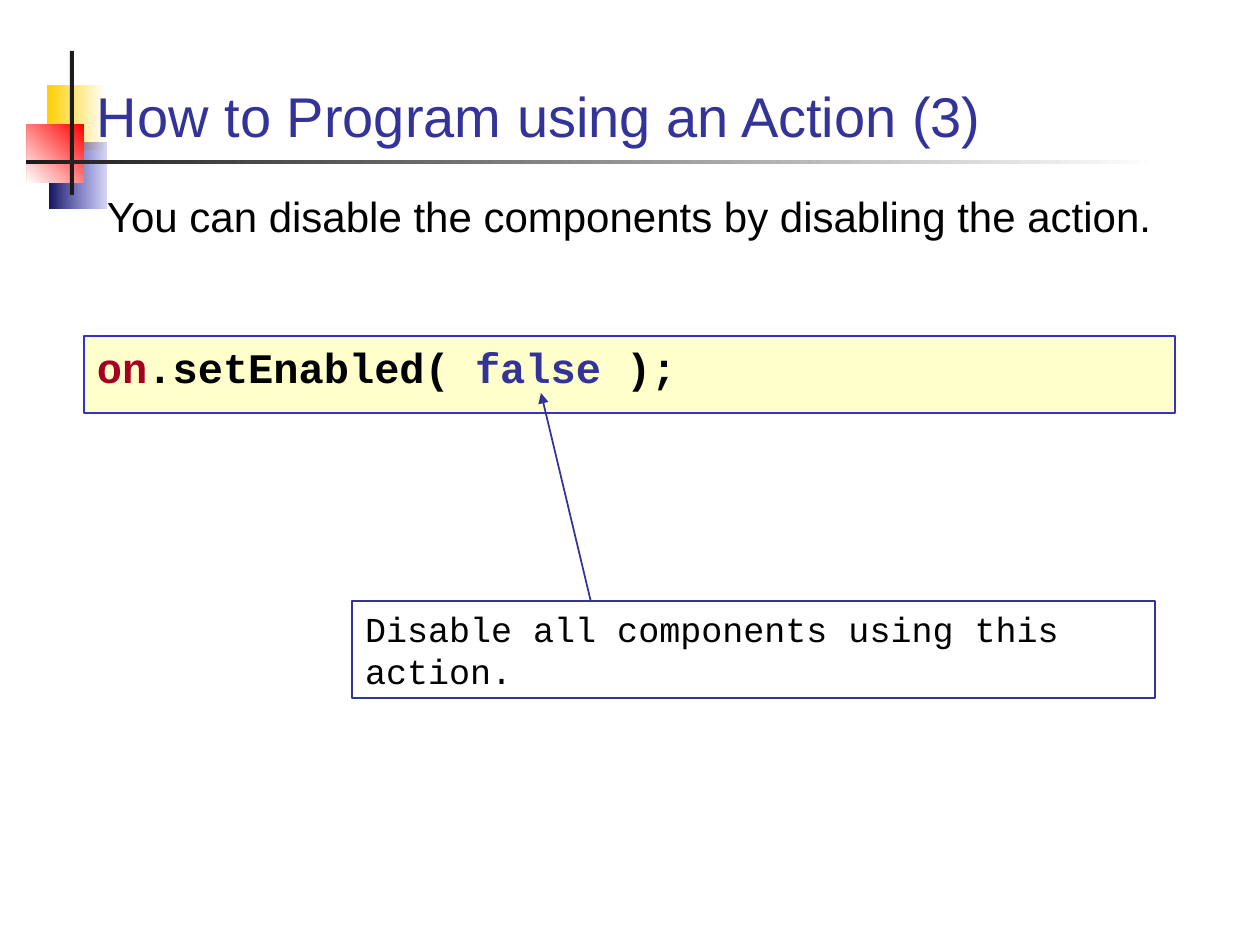
from lxml import etree
from pptx import Presentation
from pptx.dml.color import RGBColor
from pptx.enum.shapes import MSO_CONNECTOR, MSO_SHAPE
from pptx.enum.text import MSO_ANCHOR, PP_ALIGN
from pptx.oxml.ns import qn
from pptx.util import Emu, Pt

PX_PER_INCH = 126

WHITE = RGBColor(0xFF, 0xFF, 0xFF)
BLACK = RGBColor(0x00, 0x00, 0x00)
CHARCOAL = RGBColor(0x1C, 0x1C, 0x1C)
YELLOW = RGBColor(0xFF, 0xCF, 0x01)
RED = RGBColor(0xFF, 0x00, 0x00)
NAVY = RGBColor(0x17, 0x17, 0x5E)
BLUE = RGBColor(0x33, 0x33, 0xCC)
INDIGO = RGBColor(0x33, 0x33, 0x99)
CREAM = RGBColor(0xFF, 0xFF, 0xCC)
CRIMSON = RGBColor(0xA5, 0x00, 0x21)

SANS = "Arial"
MONO = "Courier New"


def px(n):
    return Emu(round(n * 914400 / PX_PER_INCH))


def add_rect(slide, box, fill=None, line=None):
    sp = slide.shapes.add_shape(MSO_SHAPE.RECTANGLE, *map(px, box))
    sp.shadow.inherit = False
    if fill is None:
        sp.fill.background()
    else:
        sp.fill.solid()
        sp.fill.fore_color.rgb = fill
    if line is None:
        sp.line.fill.background()
    else:
        sp.line.color.rgb = line
        sp.line.width = Pt(0.75)
    return sp


def add_gradient_rect(slide, box, start, end, angle=0, end_alpha=None):
    """Angle runs counter-clockwise from left-to-right; end_alpha is in percent."""
    sp = add_rect(slide, box)
    sp.fill.gradient()
    sp.fill.gradient_angle = angle
    for stop, color in zip(sp.fill.gradient_stops, (start, end)):
        stop.color.rgb = color
    if end_alpha is not None:
        color = sp._element.spPr.findall(".//" + qn("a:srgbClr"))[-1]
        etree.SubElement(color, qn("a:alpha"), val=str(end_alpha * 1000))


def write_text(sp, runs, font, size, bold=False, anchor=MSO_ANCHOR.TOP):
    """Fill a shape with one paragraph of (text, colour) runs."""
    tf = sp.text_frame
    tf.word_wrap = True
    tf.vertical_anchor = anchor
    tf.margin_left = tf.margin_right = px(13)
    tf.margin_top = tf.margin_bottom = px(6)
    p = tf.paragraphs[0]
    p.alignment = PP_ALIGN.LEFT
    p.font.name, p.font.size, p.font.bold = font, Pt(size), bold
    for text, color in runs:
        r = p.add_run()
        r.text = text
        r.font.color.rgb = color


def add_text(slide, box, *args, **options):
    write_text(slide.shapes.add_textbox(*map(px, box)), *args, **options)


def add_arrow(slide, start, end, color):
    cn = slide.shapes.add_connector(MSO_CONNECTOR.STRAIGHT, *map(px, start + end))
    cn.line.color.rgb = color
    cn.line.width = Pt(1)
    etree.SubElement(cn.line._get_or_add_ln(), qn("a:tailEnd"), type="triangle")
    etree.SubElement(cn._element.spPr, qn("a:effectLst"))


def add_ornament(slide):
    add_gradient_rect(slide, (47, 85, 59, 65), YELLOW, WHITE)
    add_gradient_rect(slide, (49, 143, 57, 66), NAVY, BLUE, end_alpha=20)
    add_gradient_rect(slide, (27, 124, 57, 59), RED, WHITE, angle=225)
    add_rect(slide, (70, 51, 4, 144), CHARCOAL)
    add_gradient_rect(slide, (26, 160, 1133, 4), CHARCOAL, WHITE)


def main():
    prs = Presentation()
    prs.slide_width, prs.slide_height = px(1260), px(945)
    slide = prs.slides.add_slide(prs.slide_layouts[6])

    add_ornament(slide)
    add_text(slide, (84, 35, 1091, 120),
             [("How to Program using an Action (3)", INDIGO)],
             SANS, 32, anchor=MSO_ANCHOR.BOTTOM)

    code = add_rect(slide, (84, 336, 1091, 77), CREAM, BLUE)
    write_text(code, [("on", CRIMSON), (".setEnabled( ", BLACK),
                      ("false", INDIGO), (" );", BLACK)],
               MONO, 24, bold=True)

    add_text(slide, (94, 185, 1081, 63),
             [("You can disable the components by disabling the action.", BLACK)],
             SANS, 24)

    label = add_rect(slide, (352, 601, 803, 97), line=INDIGO)
    write_text(label, [("Disable all components using this action.", BLACK)],
               MONO, 20)
    add_arrow(slide, (591, 602), (541, 393), INDIGO)

    prs.save("out.pptx")


if __name__ == "__main__":
    main()
